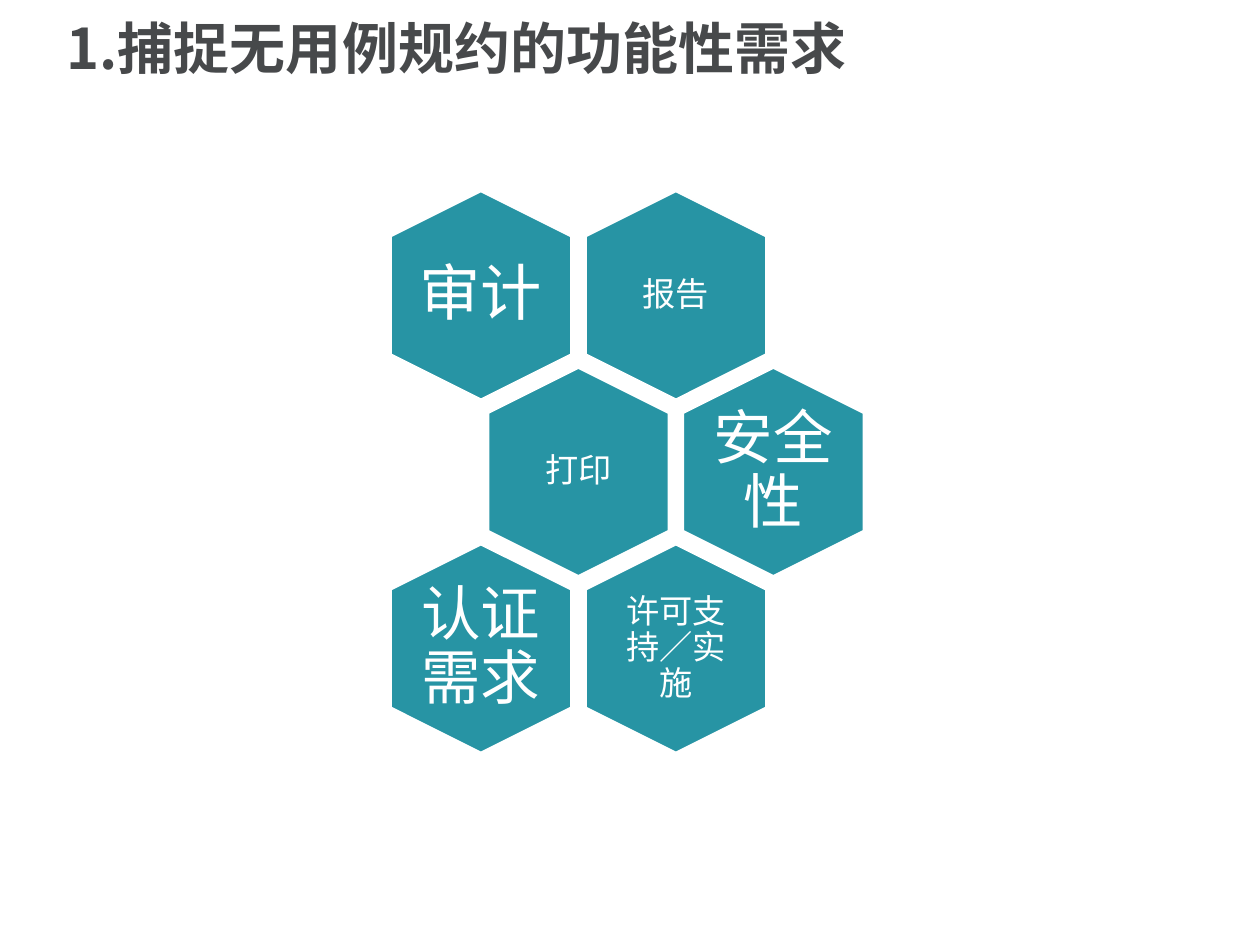
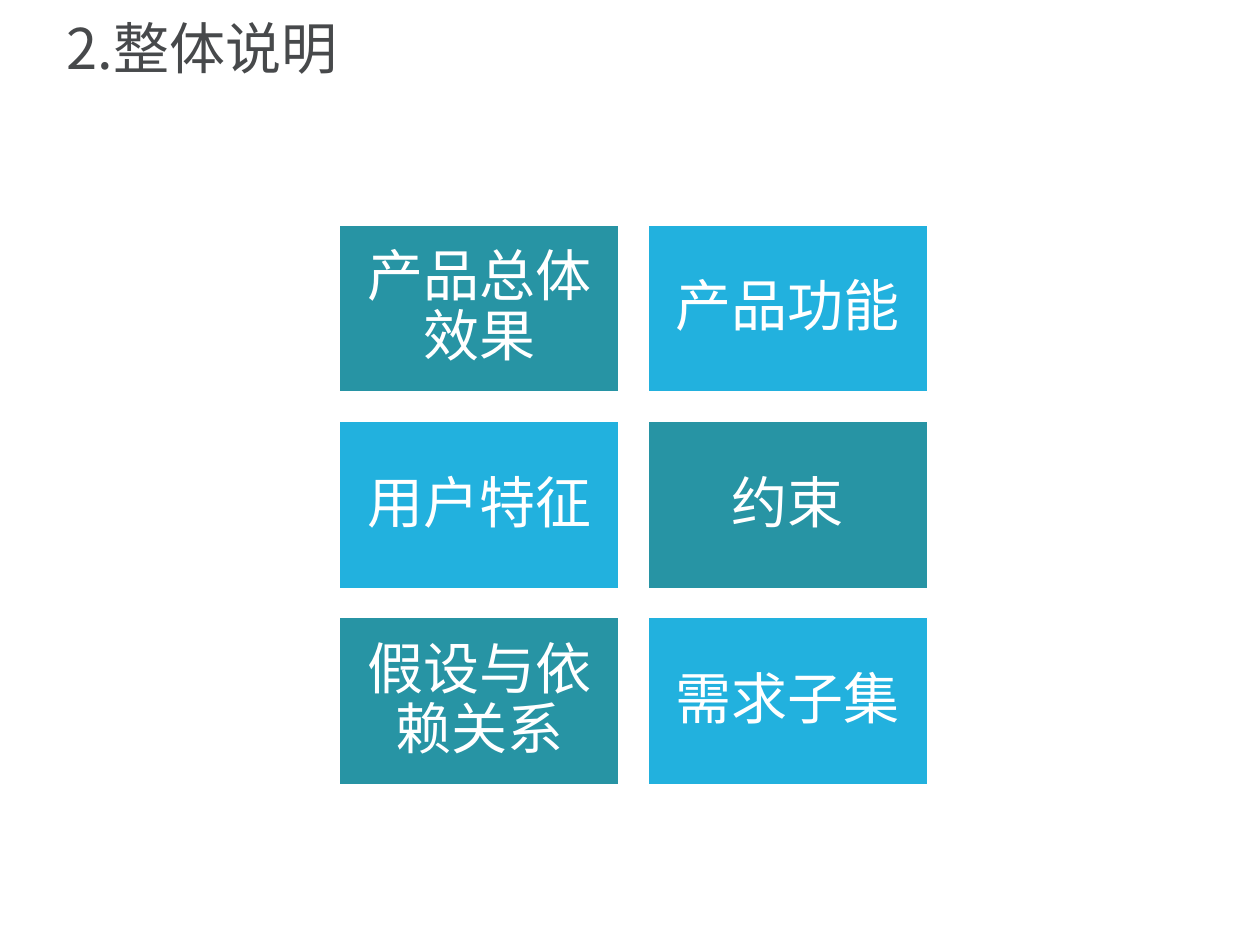
from pptx import Presentation
from pptx.dml.color import RGBColor
from pptx.enum.shapes import MSO_SHAPE
from pptx.enum.text import MSO_ANCHOR, MSO_AUTO_SIZE, PP_ALIGN
from pptx.util import Cm, Pt

HUES = {"ink": "47494B", "teal": "2794A4", "sky": "22B1DE", "white": "FFFFFF"}
HEAD = "Noto Sans CJK SC"
BODY = "Calibri"

NEEDS = [
    [("审计", 35, 0), ("报告", 19, 0.2)],
    [("打印", 19, 0.2), ("安全性", 34, 0)],
    [("认证需求", 34, 0), ("许可支持／实施", 19, 0.2)],
]
PARTS = [
    ["产品总体效果", "产品功能"],
    ["用户特征", "约束"],
    ["假设与依赖关系", "需求子集"],
]


def hue(name):
    return RGBColor.from_string(HUES[name])


def write(frame, text, size, font, color, align, inset=None):
    frame.word_wrap = True
    frame.auto_size = MSO_AUTO_SIZE.NONE
    frame.vertical_anchor = MSO_ANCHOR.MIDDLE
    if inset is not None:
        frame.margin_left = frame.margin_right = Cm(inset)
        frame.margin_top = frame.margin_bottom = Cm(inset)
    frame.text = text
    line = frame.paragraphs[0]
    line.alignment = align
    line.line_spacing = 0.9
    line.space_before = Pt(0)
    line.font.size = Pt(size)
    line.font.name = font
    line.font.color.rgb = hue(color)
    return line


def start(deck, text, bold):
    slide = deck.slides.add_slide(deck.slide_layouts[5])
    title = slide.shapes.title
    title.left, title.top = Cm(1.09), Cm(0.15)
    title.width, title.height = Cm(22.99), Cm(1.78)
    line = write(title.text_frame, text, 32, HEAD, "ink", PP_ALIGN.LEFT)
    line.font.bold = bold
    return slide


def tile(slide, kind, left, top, width, height, fill):
    shape = slide.shapes.add_shape(kind, Cm(left), Cm(top), Cm(width), Cm(height))
    shape.shadow.inherit = False
    shape.fill.solid()
    shape.fill.fore_color.rgb = hue(fill)
    shape.line.color.rgb = hue("white")
    shape.line.width = Pt(1)
    return shape


def comb(slide, left, top):
    long, short = 4.19, 3.63
    wide, tall = 2.51, 2.87
    step, drop = 3.93, 3.56
    for row, line in enumerate(NEEDS):
        for col, (text, size, inset) in enumerate(line):
            x = left + (col + row % 2 / 2) * step
            y = top + row * drop
            cell = tile(slide, MSO_SHAPE.HEXAGON, x, y, long, short, "teal")
            cell.rotation = 90
            label = slide.shapes.add_textbox(
                Cm(x + (long - wide) / 2), Cm(y + (short - tall) / 2), Cm(wide), Cm(tall)
            )
            write(label.text_frame, text, size, BODY, "white", PP_ALIGN.CENTER, inset)


def grid(slide, left, top):
    wide, tall, gap = 5.64, 3.38, 0.58
    for row, line in enumerate(PARTS):
        for col, text in enumerate(line):
            x = left + col * (wide + gap)
            y = top + row * (tall + gap)
            fill = ("teal", "sky")[(row + col) % 2]
            card = tile(slide, MSO_SHAPE.RECTANGLE, x, y, wide, tall, fill)
            write(card.text_frame, text, 32, BODY, "white", PP_ALIGN.CENTER, 0.33)


def main():
    deck = Presentation()
    deck.slide_width, deck.slide_height = Cm(25.4), Cm(19.05)
    comb(start(deck, "1.捕捉无用例规约的功能性需求", True), 7.6, 4.14)
    grid(start(deck, "2.整体说明", False), 6.84, 4.53)
    deck.save("out.pptx")


if __name__ == "__main__":
    main()
